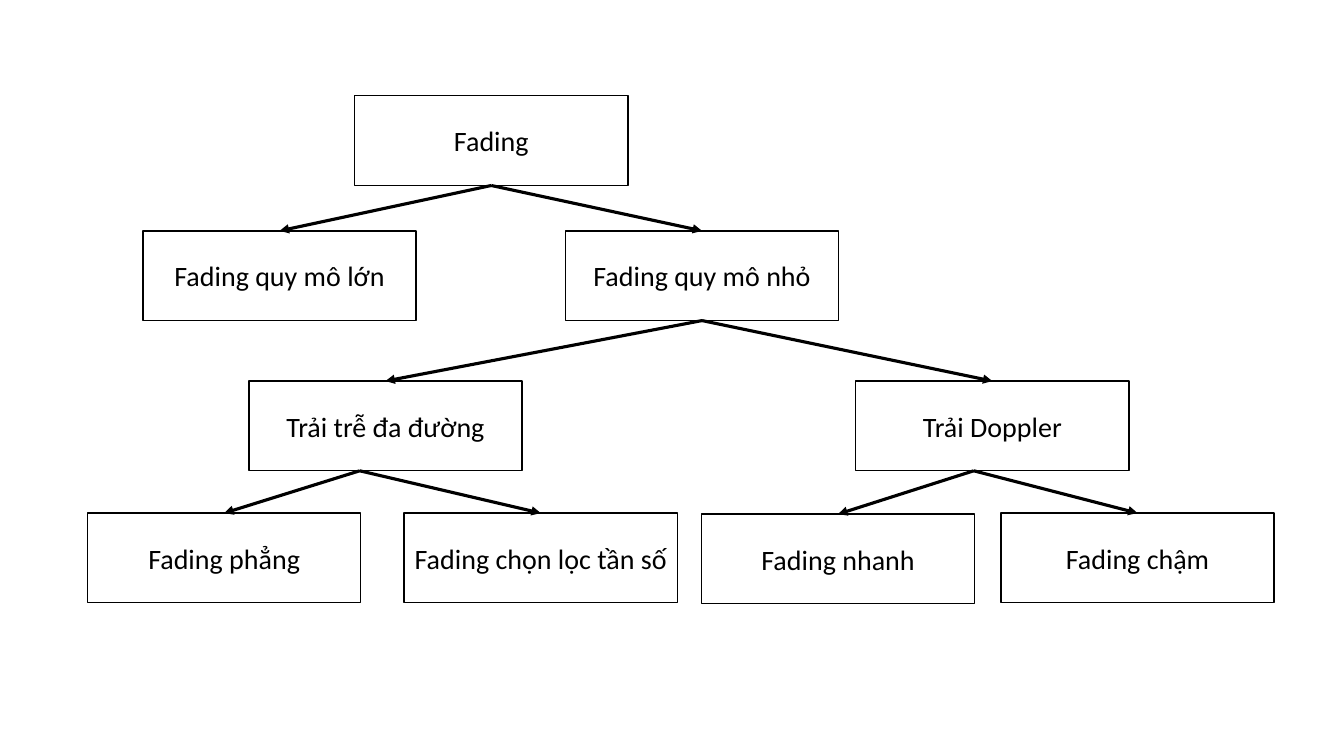
"""Build a slide with a tree of the types of fading."""
from lxml import etree
from pptx import Presentation
from pptx.dml.color import RGBColor
from pptx.enum import shapes, text
from pptx.oxml import ns
from pptx.util import Pt

LEVEL_TOPS = [68.4, 164.9, 272.2, 366.5]
NODES = {
    "Fading": (0, 253.4),
    "Fading quy mô lớn": (1, 102.2),
    "Fading quy mô nhỏ": (1, 403.9),
    "Trải trễ đa đường": (2, 177.8),
    "Trải Doppler": (2, 611.3),
    "Fading phẳng": (3, 62.6),
    "Fading chọn lọc tần số": (3, 288.7),
    "Fading nhanh": (3, 501.1),
    "Fading chậm": (3, 715),
}
BRANCHES = {
    "Fading": ["Fading quy mô lớn", "Fading quy mô nhỏ"],
    "Fading quy mô nhỏ": ["Trải trễ đa đường", "Trải Doppler"],
    "Trải trễ đa đường": ["Fading phẳng", "Fading chọn lọc tần số"],
    "Trải Doppler": ["Fading nhanh", "Fading chậm"],
}
FORK_SHIFTS = {"Trải trễ đa đường": -18.4, "Trải Doppler": -13.3}
TOP_SHIFTS = {"Fading nhanh": 0.7}
NODE_WIDTH, NODE_HEIGHT = 195.1, 64.1
TOP, BOTTOM = 0, 2
THEME = {
    "ink": RGBColor(0, 0, 0),
    "paper": RGBColor(255, 255, 255),
    "font": "Calibri",
    "size": 20,
    "border": 1,
    "arrow": 2.25,
}


def write(frame, words, *, size=THEME["size"], color=THEME["ink"], align=text.PP_ALIGN.CENTER):
    frame.word_wrap = True
    frame.vertical_anchor = text.MSO_ANCHOR.MIDDLE
    line = frame.paragraphs[0]
    line.alignment = align
    run = line.add_run()
    run.text = words
    run.font.name, run.font.size = THEME["font"], Pt(size)
    run.font.color.rgb = color


def add_node(slide, label, level, left):
    top = LEVEL_TOPS[level] + TOP_SHIFTS.get(label, 0)
    node = slide.shapes.add_shape(
        shapes.MSO_SHAPE.RECTANGLE, Pt(left), Pt(top), Pt(NODE_WIDTH), Pt(NODE_HEIGHT))
    node.shadow.inherit = False
    node.fill.solid()
    node.fill.fore_color.rgb = THEME["paper"]
    node.line.color.rgb = THEME["ink"]
    node.line.width = Pt(THEME["border"])
    write(node.text_frame, label)
    return node


def add_branch(slide, parent, child, shift):
    fork = parent.left + parent.width // 2 + Pt(shift)
    branch = slide.shapes.add_connector(
        shapes.MSO_CONNECTOR.STRAIGHT, fork, parent.top + parent.height,
        child.left + child.width // 2, child.top)
    if not shift:
        branch.begin_connect(parent, BOTTOM)
    branch.end_connect(child, TOP)
    branch.line.color.rgb = THEME["ink"]
    branch.line.width = Pt(THEME["arrow"])
    etree.SubElement(branch.line._get_or_add_ln(), ns.qn("a:tailEnd"), type="triangle")
    etree.SubElement(branch._element.spPr, ns.qn("a:effectLst"))


def main():
    deck = Presentation()
    deck.slide_width, deck.slide_height = Pt(960), Pt(540)
    slide = deck.slides.add_slide(deck.slide_layouts[6])
    nodes = {label: add_node(slide, label, *place) for label, place in NODES.items()}
    for parent, children in BRANCHES.items():
        for child in children:
            add_branch(slide, nodes[parent], nodes[child], FORK_SHIFTS.get(parent, 0))
    deck.save("out.pptx")


if __name__ == "__main__":
    main()
